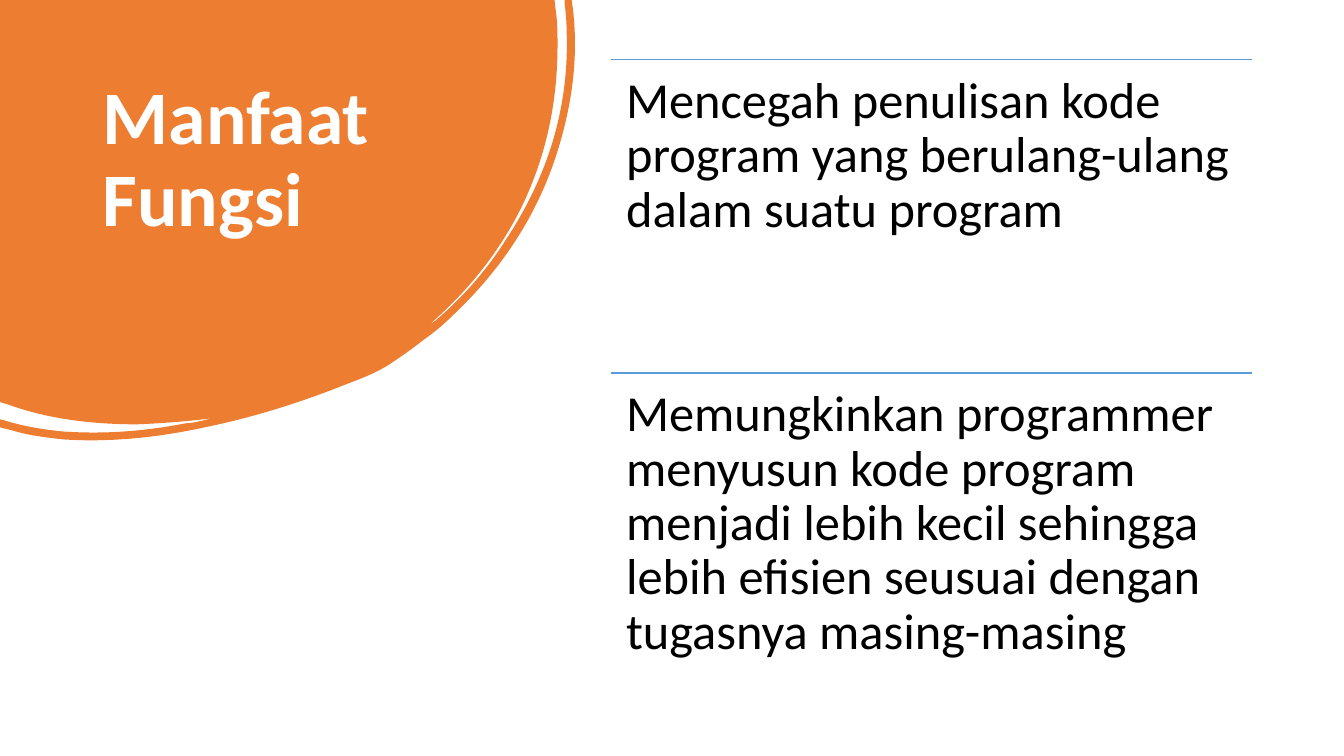
from pptx import Presentation
from pptx.dml.color import RGBColor
from pptx.enum.shapes import MSO_CONNECTOR
from pptx.enum.text import MSO_ANCHOR
from pptx.oxml.ns import qn
from pptx.util import Pt
from lxml.etree import SubElement

PX = 9144
WIDE, HIGH = 1333, 750

TITLE = "Manfaat Fungsi"
POINTS = [
    "Mencegah penulisan kode program yang berulang-ulang dalam suatu program",
    "Memungkinkan programmer menyusun kode program menjadi lebih kecil "
    "sehingga lebih efisien seusuai dengan tugasnya masing-masing",
]
LEFT, TOP, SPAN, STEP = 606, 59, 636, 311

BLOB_SIZE = (571, 437)
BLOB = [
    (0, 0), (550, 0), (552, 17),
    (553, 26, 553, 36, 553, 45), (553, 101, 542, 154, 518, 204),
    (496, 249, 465, 288, 427, 321), (429, 321, 430, 319, 432, 318),
    (459, 295, 482, 269, 501, 239), (543, 176, 565, 107, 562, 30),
    (562, 21, 561, 12, 560, 3),
    (560, 0), (567, 0), (568, 7),
    (574, 54, 568, 102, 553, 150), (533, 214, 497, 268, 448, 314),
    (439, 323, 429, 331, 419, 338), (409, 346, 399, 353, 387, 361),
    (375, 369, 360, 375, 344, 381), (299, 399, 252, 414, 203, 424),
    (157, 434, 110, 439, 63, 436), (45, 434, 28, 432, 12, 427),
    (0, 424), (0, 416), (4, 417),
    (23, 423, 42, 426, 61, 428), (103, 431, 143, 428, 184, 420),
    (189, 420, 193, 419, 198, 418), (202, 417, 206, 416, 210, 415),
    (186, 418, 161, 420, 136, 421), (92, 421, 48, 416, 7, 401),
    (0, 399),
]


def color(code):
    return RGBColor.from_string(code)


def add_blob(slide):
    pen = slide.shapes.build_freeform(*BLOB[0], scale=PX)
    pen.add_line_segments([move[-2:] for move in BLOB[1:]], close=True)
    blob = pen.convert_to_shape()
    blob.width, blob.height = (n * PX for n in BLOB_SIZE)
    track = next(blob._element.iter(qn("a:path")))
    for key, size in zip("wh", BLOB_SIZE):
        track.set(key, str(size))
    for step, move in zip(track.findall(qn("a:lnTo")), BLOB[1:]):
        if len(move) == 6:
            step.clear()
            bend = SubElement(track, qn("a:cubicBezTo"))
            for x, y in zip(move[::2], move[1::2]):
                SubElement(bend, qn("a:pt"), x=str(x), y=str(y))
            track.replace(step, bend)
    blob.shadow.inherit = False
    blob.fill.solid()
    blob.fill.fore_color.rgb = color("ED7D31")
    blob.line.fill.background()


def add_text(slide, words, place, size, code, pad, bold=False):
    box = slide.shapes.add_textbox(*(n * PX for n in place))
    frame = box.text_frame
    frame.word_wrap = True
    frame.vertical_anchor = MSO_ANCHOR.TOP
    frame.margin_left = frame.margin_right = pad[0] * PX
    frame.margin_top = frame.margin_bottom = pad[1] * PX
    frame.text = words
    para = frame.paragraphs[0]
    para.line_spacing = 0.9
    font = para.runs[0].font
    font.name, font.size, font.bold = "Calibri", Pt(size), bold
    font.color.rgb = color(code)


def add_rule(slide, x, y, span):
    rule = slide.shapes.add_connector(
        MSO_CONNECTOR.STRAIGHT, x * PX, y * PX, (x + span) * PX, y * PX)
    rule.line.color.rgb = color("5B9BD5")
    rule.line.width = Pt(1)
    SubElement(rule._element.spPr, qn("a:effectLst"))


def main():
    deck = Presentation()
    deck.slide_width, deck.slide_height = WIDE * PX, HIGH * PX
    slide = deck.slides.add_slide(deck.slide_layouts[6])

    add_blob(slide)
    add_text(slide, TITLE, (92, 74, 352, 222), 54, "FFFFFF", (10, 5), True)
    for i, words in enumerate(POINTS):
        y = TOP + i * STEP
        add_rule(slide, LEFT, y, SPAN)
        add_text(slide, words, (LEFT, y, SPAN, STEP), 36, "000000", (15, 15))

    deck.save("out.pptx")


if __name__ == "__main__":
    main()
